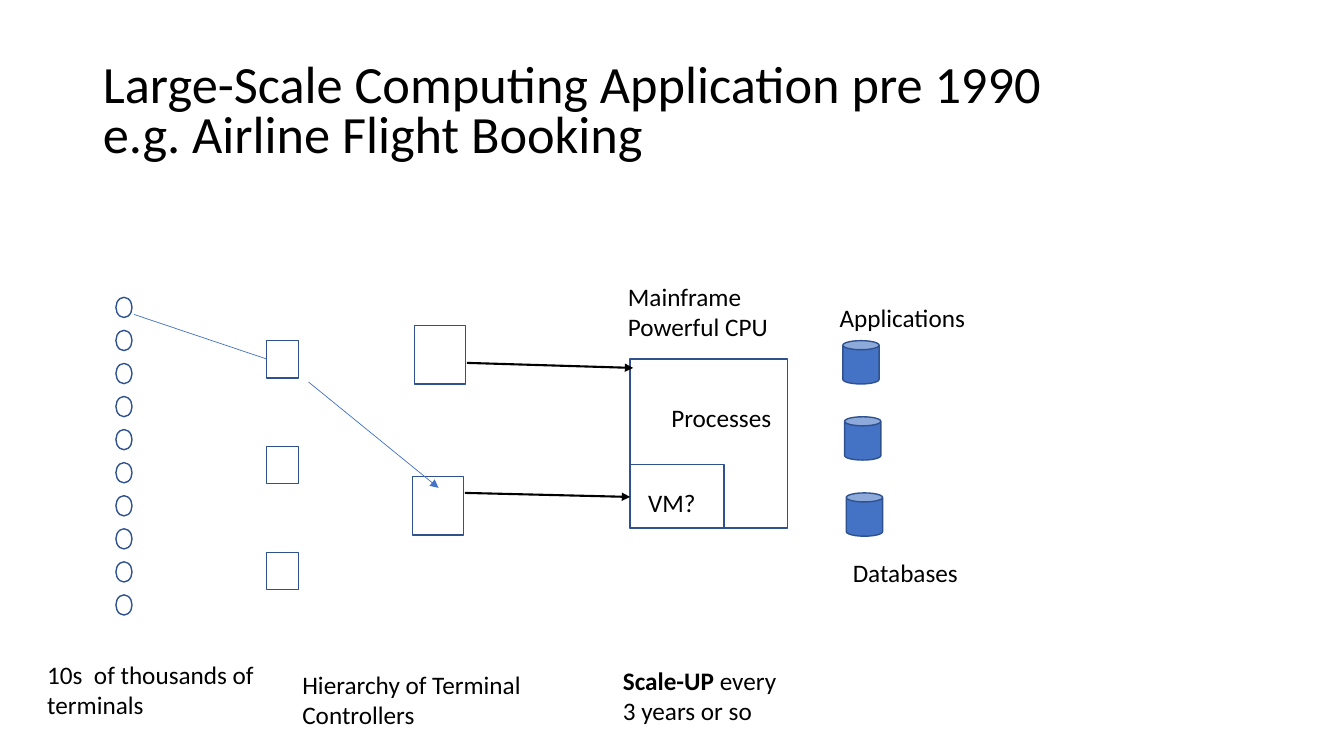
from dataclasses import dataclass

from lxml import etree
from pptx import Presentation
from pptx.dml.color import RGBColor
from pptx.enum.shapes import MSO_CONNECTOR, MSO_SHAPE
from pptx.enum.text import MSO_ANCHOR, MSO_AUTO_SIZE, PP_ALIGN
from pptx.oxml.ns import qn
from pptx.slide import Slide
from pptx.text.text import TextFrame
from pptx.util import Inches, Pt

OVAL, RECT, CAN = MSO_SHAPE.OVAL, MSO_SHAPE.RECTANGLE, MSO_SHAPE.CAN
STRAIGHT = MSO_CONNECTOR.STRAIGHT
LEFT, MIDDLE, NO_FIT = PP_ALIGN.LEFT, MSO_ANCHOR.MIDDLE, MSO_AUTO_SIZE.NONE

BLACK = RGBColor(0x00, 0x00, 0x00)
BLUE = RGBColor(0x44, 0x72, 0xC4)
NAVY = RGBColor(0x2F, 0x52, 0x8F)
FONT = "Calibri"


@dataclass
class Node:
    kind: MSO_SHAPE
    left: float
    top: float
    width: float
    height: float
    fill: RGBColor | None = None


@dataclass
class Note:
    text: str
    left: float
    top: float
    width: float
    height: float = 0.4


@dataclass
class Link:
    start: tuple[float, float]
    end: tuple[float, float]
    color: RGBColor
    weight: float
    arrow: bool = True


TERMINALS = [Node(OVAL, 1.15, 2.95 + 0.328 * i, 0.16, 0.2) for i in range(10)]
CONTROLLERS = [Node(RECT, 2.64, 3.38 + 1.05 * i, 0.32, 0.37) for i in range(3)]
HUBS = [Node(RECT, 4.11 - 0.02 * i, 3.23 + 1.5 * i, 0.51, 0.58) for i in range(2)]
MAINFRAME = [Node(RECT, 6.25, 3.56, 1.56, 1.68), Node(RECT, 6.25, 4.61, 0.93, 0.63)]
DATABASES = [
    Node(CAN, 8.36 + 0.017 * i, 3.38 + 0.755 * i, 0.36, 0.43, BLUE) for i in range(3)
]

NOTES = [
    Note("10s  of thousands of\nterminals", 0.37, 6.49, 2.28, 0.71),
    Note("Hierarchy of Terminal\nControllers", 2.9, 6.59, 2.39, 0.71),
    Note("Mainframe\nPowerful CPU", 6.13, 2.74, 1.6, 0.71),
    Note("VM?", 6.33, 4.79, 0.67),
    Note("Processes", 6.56, 3.94, 1.2),
    Note("Applications", 8.23, 2.95, 1.46),
    Note("Databases", 8.36, 5.48, 1.26),
]
SCALE = Note("Scale-UP\n3 years or so", 6.08, 6.55, 1.74, 0.71)

LINKS = [
    Link((1.33, 3.12), (2.64, 3.56), BLUE, 0.5, arrow=False),
    Link((3.06, 3.79), (4.35, 4.84), BLUE, 0.5),
    Link((4.61, 4.89), (6.25, 4.93), BLACK, 1.5),
    Link((4.63, 3.6), (6.28, 3.65), BLACK, 1.5),
]


def style(frame: TextFrame, size: float) -> None:
    for para in frame.paragraphs:
        para.alignment = LEFT
        para.font.size = Pt(size)
        for run in para.runs:
            run.font.name = FONT
            run.font.size = Pt(size)
            run.font.color.rgb = BLACK


def add_title(slide: Slide, text: str) -> None:
    title = slide.shapes.title
    title.left, title.top = Inches(0.92), Inches(0.4)
    title.width, title.height = Inches(11.5), Inches(1.45)
    frame = title.text_frame
    frame.text = text
    frame.auto_size = NO_FIT
    frame.vertical_anchor = MIDDLE
    frame.paragraphs[0].line_spacing = 0.8
    style(frame, 37.4)


def add_node(slide: Slide, node: Node) -> None:
    shape = slide.shapes.add_shape(
        node.kind, Inches(node.left), Inches(node.top),
        Inches(node.width), Inches(node.height),
    )
    shape.shadow.inherit = False
    shape.line.color.rgb = NAVY
    shape.line.width = Pt(1)
    if node.fill is None:
        shape.fill.background()
    else:
        shape.fill.solid()
        shape.fill.fore_color.rgb = node.fill


def add_note(slide: Slide, note: Note) -> TextFrame:
    box = slide.shapes.add_textbox(
        Inches(note.left), Inches(note.top), Inches(note.width), Inches(note.height)
    )
    frame = box.text_frame
    frame.word_wrap = False
    frame.text = note.text
    style(frame, 18)
    return frame


def add_link(slide: Slide, link: Link) -> None:
    ends = [Inches(value) for value in (*link.start, *link.end)]
    wire = slide.shapes.add_connector(STRAIGHT, *ends)
    wire.line.color.rgb = link.color
    wire.line.width = Pt(link.weight)
    if link.arrow:
        tail = etree.SubElement(wire.line._get_or_add_ln(), qn("a:tailEnd"))
        tail.set("type", "triangle")
    etree.SubElement(wire._element.spPr, qn("a:effectLst"))


def main() -> None:
    deck = Presentation()
    deck.slide_width, deck.slide_height = Inches(13.33), Inches(7.5)
    slide = deck.slides.add_slide(deck.slide_layouts.get_by_name("Title Only"))
    add_title(
        slide, "Large-Scale Computing Application pre 1990\ve.g. Airline Flight Booking"
    )

    # Machines, from the terminals to the databases
    for node in TERMINALS + CONTROLLERS + HUBS + MAINFRAME + DATABASES:
        add_node(slide, node)

    # Labels, the last with a bold lead
    for note in NOTES:
        add_note(slide, note)
    frame = add_note(slide, SCALE)
    lead = frame.paragraphs[0]
    lead.runs[0].font.bold = True
    lead.add_run().text = " every"
    style(frame, 18)

    # Wires
    for link in LINKS:
        add_link(slide, link)

    deck.save("out.pptx")


if __name__ == "__main__":
    main()
